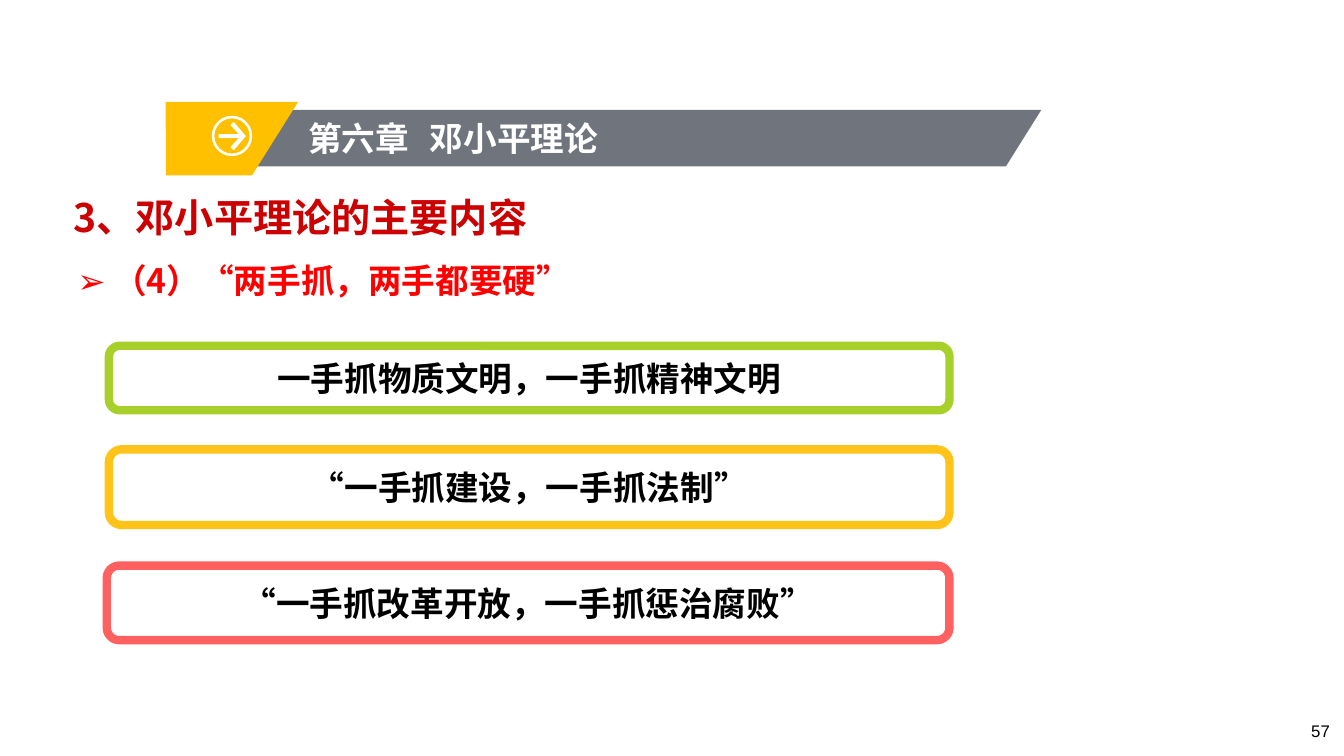
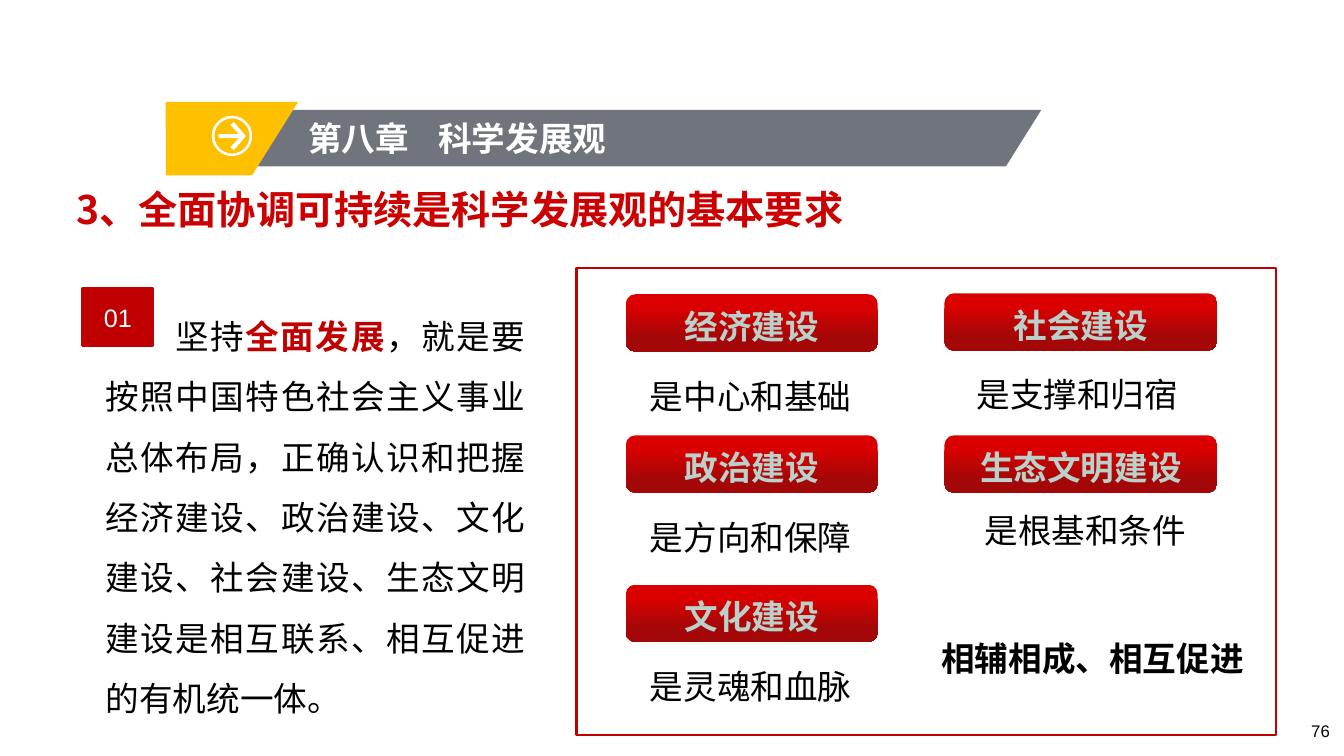
"""Build two lecture slides that share a chapter banner, heading and page number."""
from lxml.etree import SubElement
from pptx import Presentation
from pptx.dml.color import RGBColor
from pptx.enum.shapes import MSO_SHAPE as Shape
from pptx.enum.text import MSO_ANCHOR as Anchor, PP_ALIGN as Align
from pptx.oxml.ns import qn
from pptx.util import Pt

CJK = "Noto Sans CJK SC"
LATIN = "Arial"
BLACK = RGBColor(0, 0, 0)
WHITE = RGBColor(255, 255, 255)
SLATE = RGBColor(0x70, 0x75, 0x7D)
AMBER = RGBColor(0xFF, 0xC0, 0x00)
HEADING_RED = RGBColor(0xCC, 0x00, 0x00)
BRIGHT_RED = RGBColor(0xFF, 0x00, 0x00)
DEEP_RED = RGBColor(0xC0, 0x00, 0x00)
PILL_TOP = RGBColor(0xDA, 0x00, 0x00)
PILL_BOTTOM = RGBColor(0xA4, 0x07, 0x07)
PILL_TEXT = RGBColor(0xBA, 0xD0, 0xCA)
GREEN = RGBColor(0xA8, 0xD0, 0x2A)
YELLOW = RGBColor(0xFF, 0xC3, 0x19)
CORAL = RGBColor(0xFF, 0x61, 0x61)


def paint(shape, fill=None, line=None, width=0):
    shape.shadow.inherit = False
    if fill is None:
        shape.fill.background()
    else:
        shape.fill.solid()
        shape.fill.fore_color.rgb = fill
    if line is None:
        shape.line.fill.background()
    else:
        shape.line.color.rgb = line
        shape.line.width = Pt(width)


def write(shape, text, size=24, color=BLACK, bold=False, align=Align.LEFT,
          anchor=Anchor.TOP, spacing=1.0, font=CJK, tab=None):
    frame = shape.text_frame
    frame.word_wrap = True
    frame.vertical_anchor = anchor
    paragraph = frame.paragraphs[0]
    paragraph.alignment = align
    paragraph.line_spacing = spacing
    if tab:
        tabs = SubElement(paragraph._p.pPr, qn("a:tabLst"))
        SubElement(tabs, qn("a:tab"), pos=str(Pt(tab)), algn="l")
    paragraph.font.name = font
    paragraph.font.size = Pt(size)
    paragraph.font.bold = bold
    paragraph.font.color.rgb = color
    defaults = paragraph._p.pPr.find(qn("a:defRPr"))
    SubElement(defaults, qn("a:ea"), typeface=font)
    paragraph.add_run().text = text
    return paragraph


presentation = Presentation()
presentation.slide_width = Pt(960)
presentation.slide_height = Pt(540)

BANNER = [
    (SLATE, [(124, 78.5), (743.8, 78.5), (718.6, 118.8), (124, 118.8)]),
    (AMBER, [(118.3, 72.7), (213, 72.7), (180, 125.3), (118.6, 125.3)]),
    (WHITE, [(167, 107.3), (164.7, 105.1), (170.6, 98.6), (156.2, 98.6), (156.2, 95.8),
             (170.6, 95.8), (164.7, 89.3), (167, 87.1), (175.7, 97.2)]),
]
PAGES = [
    ("第六章\t邓小平理论", 87, "3、邓小平理论的主要内容", 45.4, 128.2, "57"),
    ("第八章\t科学发展观", 93, "3、全面协调可持续是科学发展观的基本要求", 47.5, 122.4, "76"),
]
slides = []
for chapter, tab, heading, left, top, number in PAGES:
    slide = presentation.slides.add_slide(presentation.slide_layouts[6])
    slides.append(slide)
    for color, points in BANNER:
        corners = [(Pt(x), Pt(y)) for x, y in points]
        builder = slide.shapes.build_freeform(*corners[0])
        builder.add_line_segments(corners[1:], close=True)
        paint(builder.convert_to_shape(), color)
    ring = slide.shapes.add_shape(Shape.OVAL, Pt(152.2), Pt(83.6), Pt(27), Pt(27))
    paint(ring, line=WHITE, width=1.8)
    box = slide.shapes.add_textbox(Pt(213), Pt(80.6), Pt(237), Pt(36))
    write(box, chapter, color=WHITE, bold=True, tab=tab)
    box = slide.shapes.add_textbox(Pt(left), Pt(top), Pt(755), Pt(36.7))
    write(box, heading, 28, HEADING_RED, True, anchor=Anchor.MIDDLE, spacing=1.5)
    box = slide.shapes.add_textbox(Pt(920), Pt(511), Pt(37), Pt(29))
    write(box, number, 12, align=Align.RIGHT, font=LATIN)

hands_slide, outlook_slide = slides

box = hands_slide.shapes.add_textbox(Pt(48.2), Pt(182), Pt(371.5), Pt(36))
write(box, "➢ （4）“两手抓，两手都要硬”", color=BRIGHT_RED, bold=True)
HANDS = [
    ("一手抓物质文明，一手抓精神文明", GREEN, 77.8, 247, 46),
    ("“一手抓建设，一手抓法制”", YELLOW, 77.8, 321, 54),
    ("“一手抓改革开放，一手抓惩治腐败”", CORAL, 76.3, 404, 53.3),
]
for text, color, left, top, height in HANDS:
    card = hands_slide.shapes.add_shape(
        Shape.ROUNDED_RECTANGLE, Pt(left), Pt(top), Pt(678.2 - left), Pt(height))
    paint(card, WHITE, color, 6)
    write(card, text, bold=True, align=Align.CENTER, anchor=Anchor.MIDDLE)

box = outlook_slide.shapes.add_textbox(Pt(68.4), Pt(207.4), Pt(314), Pt(307.5))
body = write(box, "坚持", align=Align.JUSTIFY, spacing=1.5)
body._p.pPr.set("marL", "0")
body._p.pPr.set("indent", str(Pt(49.7)))
emphasis = body.add_run()
emphasis.text = "全面发展"
emphasis.font.bold = True
emphasis.font.color.rgb = DEEP_RED
body.add_run().text = ("，就是要按照中国特色社会主义事业总体布局，正确认识和把握经济建设、政治建设、"
                       "文化建设、社会建设、生态文明建设是相互联系、相互促进的有机统一体。")

box = outlook_slide.shapes.add_textbox(Pt(665.3), Pt(437.8), Pt(234), Pt(46))
write(box, "相辅相成、相互促进", bold=True, spacing=1.5)

PILLARS = [
    ("经济建设", 447, 210.2, 180, "是中心和基础", 457.2, 265),
    ("政治建设", 447, 311, 180, "是方向和保障", 457.2, 365.8),
    ("文化建设", 447, 417.6, 180, "是灵魂和血脉", 457.2, 472.3),
    ("社会建设", 674.6, 209.5, 195, "是支撑和归宿", 690.5, 263.5),
    ("生态文明建设", 674.6, 311, 195, "是根基和条件", 696.2, 360.7),
]
for name, left, top, width, role, role_left, role_top in PILLARS:
    pill = outlook_slide.shapes.add_shape(
        Shape.ROUNDED_RECTANGLE, Pt(left), Pt(top), Pt(width), Pt(41))
    paint(pill)
    pill.fill.gradient()
    pill.fill.gradient_angle = 270
    stops = [(0.23, PILL_TOP), (0.76, PILL_BOTTOM)]
    for stop, (position, color) in zip(pill.fill.gradient_stops, stops):
        stop.position = position
        stop.color.rgb = color
    write(pill, name, color=PILL_TEXT, bold=True, align=Align.CENTER, spacing=1.1)
    box = outlook_slide.shapes.add_textbox(Pt(role_left), Pt(role_top), Pt(204.5), Pt(36))
    write(box, role, align=Align.JUSTIFY)

border = outlook_slide.shapes.add_shape(
    Shape.RECTANGLE, Pt(411.8), Pt(191.5), Pt(499.7), Pt(333.4))
paint(border, line=DEEP_RED, width=1.5)
badge = outlook_slide.shapes.add_shape(Shape.RECTANGLE, Pt(59), Pt(206), Pt(50.4), Pt(41))
paint(badge, DEEP_RED, DEEP_RED, 2)
write(badge, "01", 18, WHITE, align=Align.CENTER, anchor=Anchor.MIDDLE, font=LATIN)

presentation.save("out.pptx")
